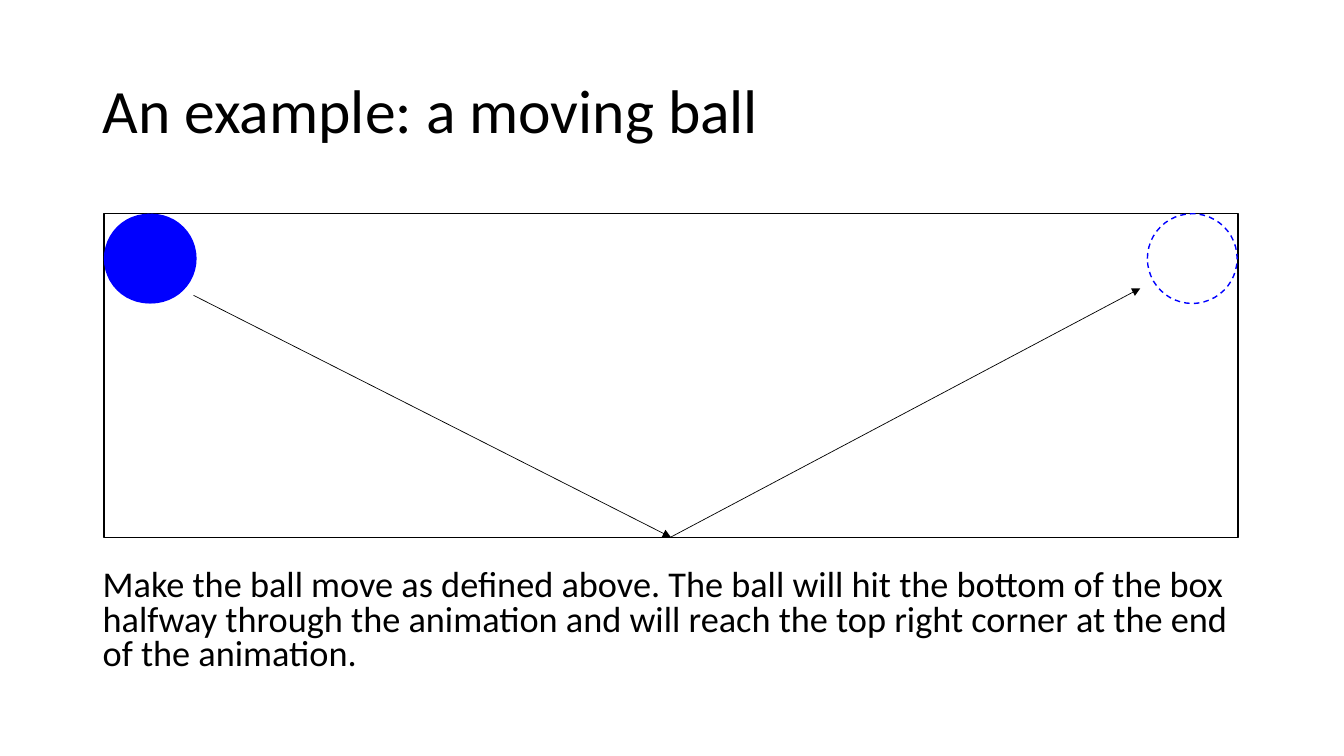
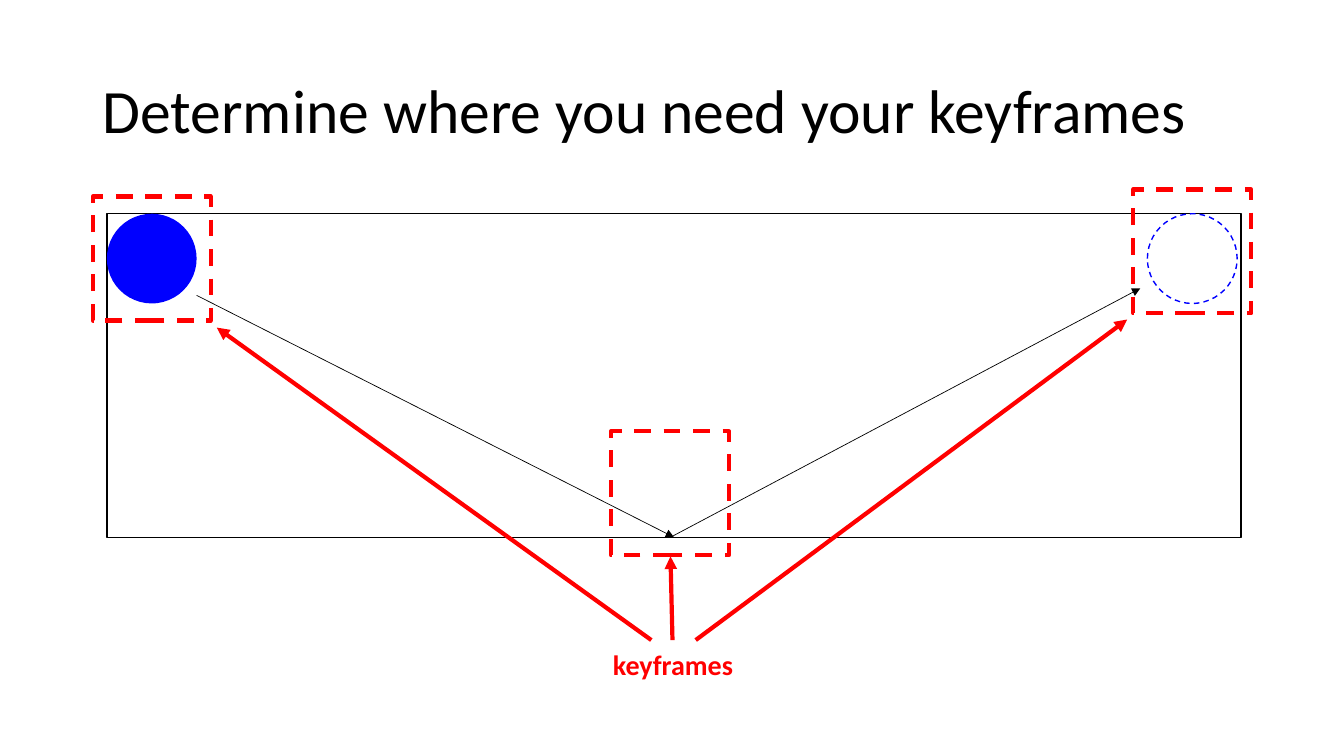
from lxml.etree import SubElement
from pptx import Presentation
from pptx.dml.color import RGBColor
from pptx.enum.dml import MSO_LINE_DASH_STYLE as DASH
from pptx.enum.shapes import MSO_CONNECTOR, MSO_SHAPE
from pptx.enum.text import MSO_ANCHOR
from pptx.oxml.ns import qn
from pptx.util import Inches, Pt

BLACK = RGBColor(0x00, 0x00, 0x00)
BLUE = RGBColor(0x00, 0x00, 0xFF)
RED = RGBColor(0xFF, 0x00, 0x00)
FONT = "Calibri"

TITLES = ("An example: a moving ball", "Determine where you need your keyframes")
TASK = ("Make the ball move as defined above. The ball will hit the bottom of the box "
        "halfway through the animation and will reach the top right corner at the end "
        "of the animation.")
KEYFRAME_LABEL = "keyframes"

TITLE_AREA = (0.92, 0.4, 11.5, 1.45)
TASK_AREA = (0.92, 5.6, 11.5, 1.16)
LABEL_AREA = (5.98, 6.37, 1.41, 0.44)

BOX_TOP, BOX_WIDTH, BOX_HEIGHT = 2.12, 11.25, 3.21
BALL_SIZE = 0.89
START_LEFT, END_LEFT = 1.06, 11.38
BOUNCE, GOAL = (6.65, BOX_TOP + BOX_HEIGHT), (11.31, 2.86)

FRAME_SIZE = (1.17, 1.23)
FRAME_CORNERS = ((0.92, 1.95), (6.06, 4.28), (11.24, 1.88))
POINTERS = (((6.46, 6.35), (2.15, 3.25)),
            ((6.67, 6.35), (6.65, 5.52)),
            ((6.9, 6.35), (11.18, 3.17)))


def inches(values):
    return [Inches(v) for v in values]


def add_text(slide, text, area, size, color=BLACK, bold=False, wrap=True,
             anchor=MSO_ANCHOR.TOP, line_spacing=None, space_before=0):
    tf = slide.shapes.add_textbox(*inches(area)).text_frame
    tf.word_wrap = wrap
    tf.vertical_anchor = anchor
    p = tf.paragraphs[0]
    p.line_spacing = line_spacing
    p.space_before = Pt(space_before)
    r = p.add_run()
    r.text = text
    r.font.name, r.font.size, r.font.bold = FONT, Pt(size), bold
    r.font.color.rgb = color


def add_outline(slide, kind, area, fill=None, line=None, width=1, dash=None):
    sp = slide.shapes.add_shape(kind, *inches(area))
    sp.shadow.inherit = False
    if fill is None:
        sp.fill.background()
    else:
        sp.fill.solid()
        sp.fill.fore_color.rgb = fill
    if line is None:
        sp.line.fill.background()
    else:
        sp.line.color.rgb = line
        sp.line.width = Pt(width)
        sp.line.dash_style = dash


def add_arrow(slide, start, end, color=BLACK, width=0.5):
    cx = slide.shapes.add_connector(MSO_CONNECTOR.STRAIGHT, *inches(start + end))
    cx.line.color.rgb = color
    cx.line.width = Pt(width)
    SubElement(cx.line._get_or_add_ln(), qn("a:tailEnd"), type="triangle")
    SubElement(cx._element.spPr, qn("a:effectLst"))


def add_ball(slide, left, **style):
    add_outline(slide, MSO_SHAPE.OVAL, (left, BOX_TOP, BALL_SIZE, BALL_SIZE), **style)


def add_scene(prs, title, box_left, ball_lefts):
    """Add a slide with the title, the box and the bouncing path of the ball."""
    slide = prs.slides.add_slide(prs.slide_layouts[6])
    add_text(slide, title, TITLE_AREA, 44, anchor=MSO_ANCHOR.MIDDLE, line_spacing=0.9)
    add_outline(slide, MSO_SHAPE.RECTANGLE,
                (box_left, BOX_TOP, BOX_WIDTH, BOX_HEIGHT), line=BLACK)
    for left in ball_lefts:
        add_ball(slide, left, fill=BLUE)
    add_ball(slide, END_LEFT, line=BLUE, dash=DASH.DASH)
    add_arrow(slide, (box_left + BALL_SIZE, 2.93), (box_left + BOX_WIDTH / 2, BOUNCE[1]))
    add_arrow(slide, BOUNCE, GOAL)
    return slide


def add_keyframes(slide):
    for start, end in POINTERS:
        add_arrow(slide, start, end, RED, 3)
    for corner in FRAME_CORNERS:
        add_outline(slide, MSO_SHAPE.RECTANGLE, corner + FRAME_SIZE,
                    line=RED, width=3, dash=DASH.DASH)
    add_text(slide, KEYFRAME_LABEL, LABEL_AREA, 20, RED, bold=True, wrap=False)


def main():
    prs = Presentation()
    prs.slide_width, prs.slide_height = Inches(13.33), Inches(7.5)
    example = add_scene(prs, TITLES[0], 1.03, (1.03, START_LEFT))
    add_text(example, TASK, TASK_AREA, 25.9, line_spacing=0.8, space_before=10)
    add_keyframes(add_scene(prs, TITLES[1], START_LEFT, (START_LEFT,)))
    prs.save("out.pptx")


if __name__ == "__main__":
    main()
